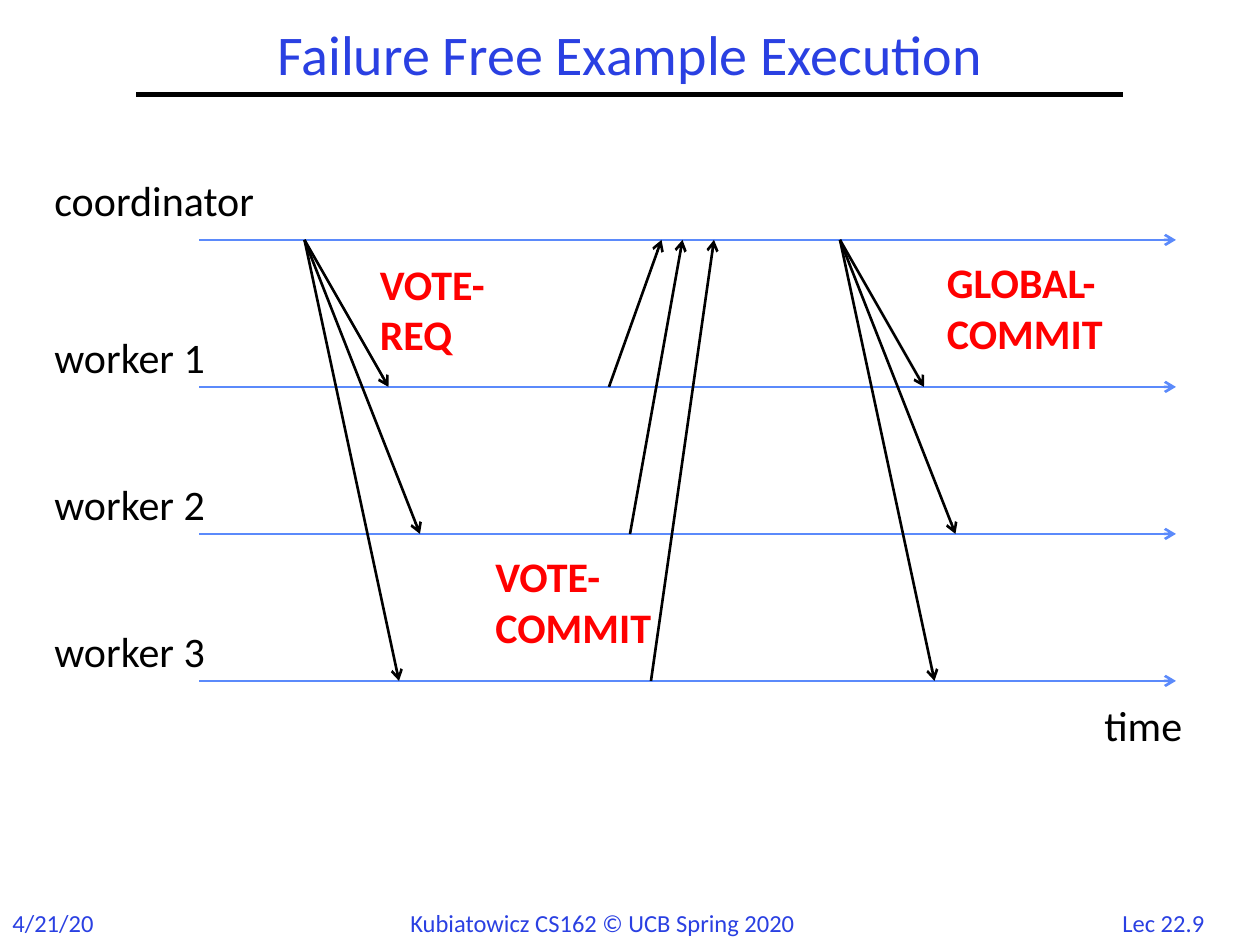
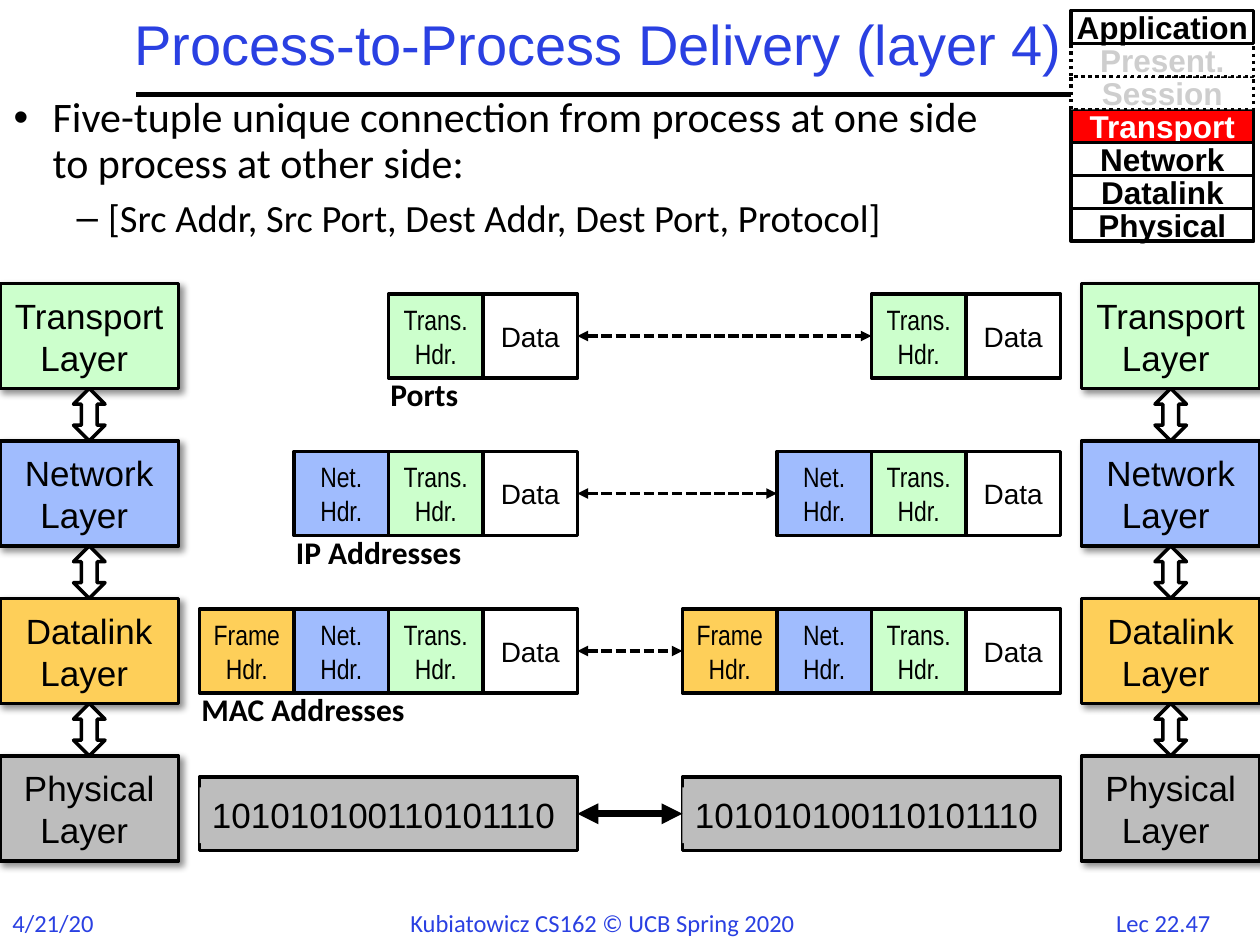
from lxml.etree import SubElement as Sub
from pptx import Presentation
from pptx.dml.color import RGBColor as RGB
from pptx.enum.dml import MSO_LINE as Dash
from pptx.enum.shapes import MSO_CONNECTOR as Conn, MSO_SHAPE as Kind
from pptx.enum.text import MSO_ANCHOR as Anchor, MSO_AUTO_SIZE as Fit, PP_ALIGN as Align
from pptx.oxml.ns import qn
from pptx.util import Inches, Pt

BLACK, WHITE = RGB(0, 0, 0), RGB(255, 255, 255)
INK = RGB(0x2A, 0x40, 0xE2)
LANE = RGB(0x5B, 0x8A, 0xFB)
RED = RGB(255, 0, 0)
GREEN = RGB(0xCC, 0xFF, 0xCC)
BLUE = RGB(0xA0, 0xBC, 0xFE)
GOLD = RGB(0xFE, 0xCF, 0x59)
GRAY = RGB(0xBD, 0xBD, 0xBD)
FAINT = RGB(0xCE, 0xCE, 0xCE)

WIDE, HIGH = Inches(10), Inches(7.5)
COLS, ROWS = 120, 90

LAYERS = [("Transport", GREEN), ("Network", BLUE),
          ("Datalink", GOLD), ("Physical", GRAY)]
HEADS = [("Trans.", GREEN), ("Net.", BLUE), ("Frame", GOLD)]
NAMES = ["Ports", "IP Addresses", "MAC Addresses"]


def grid(x, y):
    """Turn a column and a row into slide lengths."""
    return round(x * WIDE / COLS), round(y * HIGH / ROWS)


def write(para, text, size, color=BLACK, font="Calibri", bold=False):
    run = para.add_run()
    run.text = text
    run.font.name, run.font.size, run.font.bold = font, Pt(size), bold
    run.font.color.rgb = color


def label(slide, at, text, size=24, align=Align.LEFT, wrap=True, **look):
    box = slide.shapes.add_textbox(*grid(*at[:2]), *grid(*at[2:]))
    box.text_frame.word_wrap = wrap
    para = box.text_frame.paragraphs[0]
    para.alignment = align
    write(para, text, size, **look)
    return box


def block(slide, at, lines=(), fill=None, kind=Kind.RECTANGLE, dash=None,
          wrap=True, **look):
    """Draw an outlined shape with centred lines of text."""
    shape = slide.shapes.add_shape(kind, *grid(*at[:2]), *grid(*at[2:]))
    shape.shadow.inherit = False
    if fill is None:
        shape.fill.background()
    else:
        shape.fill.solid()
        shape.fill.fore_color.rgb = fill
    shape.line.color.rgb, shape.line.width = BLACK, Pt(2)
    if dash:
        shape.line.dash_style = dash
    frame = shape.text_frame
    frame.word_wrap, frame.vertical_anchor = wrap, Anchor.MIDDLE
    for i, text in enumerate(lines):
        para = frame.add_paragraph() if i else frame.paragraphs[0]
        para.alignment = Align.CENTER
        write(para, text, **look)
    return shape


def shade(shape):
    """Give a shape a soft shadow to the lower right."""
    effects = shape.element.spPr.find(qn("a:effectLst"))
    outer = Sub(effects, qn("a:outerShdw"), blurRad=str(Pt(4)), dist=str(Pt(3)),
                dir="2700000", algn="tl", rotWithShape="0")
    Sub(Sub(outer, qn("a:srgbClr"), val=str(BLACK)), qn("a:alpha"), val="43000")


def wire(slide, start=(0, 0), end=(0, 0), color=BLACK, width=1.5,
         dash=None, head=None, tail=None):
    line = slide.shapes.add_connector(Conn.STRAIGHT, *grid(*start), *grid(*end))
    line.line.color.rgb, line.line.width = color, Pt(width)
    if dash:
        line.line.dash_style = dash
    for tag, tip in (("a:headEnd", head), ("a:tailEnd", tail)):
        if tip:
            Sub(line.get_or_add_ln(), qn(tag), type=tip)
    Sub(line.element.spPr, qn("a:effectLst"))
    return line


def link(slide, left, right, width=2, dash=None):
    """Join two facing boxes with a double arrow."""
    line = wire(slide, width=width, dash=dash, head="triangle", tail="triangle")
    line.begin_connect(left, 3)
    line.end_connect(right, 1)


def place(shape, at):
    shape.left, shape.top = grid(*at[:2])
    shape.width, shape.height = grid(*at[2:])
    shape.text_frame.auto_size = Fit.NONE
    return shape.text_frame


def start(deck, layout, title, at, page, font="Calibri"):
    """Add a slide with its title, rule and footer."""
    slide = deck.slides.add_slide(deck.slide_layouts[layout])
    wire(slide, (13, 9), (107, 9), width=3)
    foot = dict(size=14, wrap=False, color=INK)
    label(slide, (0, 85.9, 10.2, 4), "4/21/20", **foot)
    label(slide, (37.9, 85.9, 44.2, 4), "Kubiatowicz CS162 © UCB Spring 2020", **foot)
    label(slide, (104.3, 85.9, 13, 4), f"Lec 22.{page}", align=Align.CENTER, **foot)
    frame = place(slide.shapes.title, (*at, 94, 7))
    frame.vertical_anchor = Anchor.MIDDLE
    para = frame.paragraphs[0]
    para.alignment, para.line_spacing = Align.CENTER, 0.9
    write(para, title, 32, INK, font)
    return slide


def item(para, text, size, mark, left, hang, gap):
    props = para._p.get_or_add_pPr()
    props.set("marL", str(Inches(left)))
    props.set("indent", str(-Inches(hang)))
    Sub(props, qn("a:buChar"), char=mark)
    para.line_spacing, para.space_before = 0.9, Pt(gap)
    write(para, text, size)


def commit(deck):
    slide = start(deck, 5, "Failure Free Example Execution", (13, 2), 9)
    lanes = [22.85 + 14 * i for i in range(4)]
    for i, y in enumerate(lanes):
        wire(slide, (19, y), (112, y), LANE, tail="arrow")
        if i:
            label(slide, (4, y - 5.9, 19, 6.1), f"worker {i}")
    label(slide, (4, 16, 24, 6.1), "coordinator")
    label(slide, (104, 66, 11, 6.1), "time")

    for x in (29, 93 - 13):
        for step, y in zip((8, 11, 9), lanes[1:]):
            wire(slide, (x, lanes[0]), (x + step, y), tail="arrow")
    for x, end, y in zip((58, 60, 62), (63, 65, 68), lanes[1:]):
        wire(slide, (x, y), (end, lanes[0]), tail="arrow")

    for x, y, wide, text in ((35, 24, 16, "VOTE-REQ"),
                             (46, 51.85, 19, "VOTE-COMMIT"),
                             (89, 23.85, 20, "GLOBAL-COMMIT")):
        label(slide, (x, y, wide, 10.9), text, color=RED, bold=True)


def stack(slide, x):
    """Draw the column of layers with arrows between them."""
    for i, (name, fill) in enumerate(LAYERS):
        y = 27 + 15 * i
        shade(block(slide, (x, y, 17, 10), [f"{name} Layer "], fill,
                    size=20, font="Arial"))
        if i < len(LAYERS) - 1:
            block(slide, (x + 7, y + 10, 3, 5), fill=WHITE, kind=Kind.UP_DOWN_ARROW)


def packet(slide, right, row):
    """Draw data with its headers; return the first and last box."""
    y = 28 + 15 * row
    x = right - 9
    first = last = block(slide, (x, y, 9, 8), ["Data"], WHITE, size=16, font="Arial")
    for name, fill in HEADS[:row + 1]:
        x -= 9
        first = block(slide, (x, y, 9, 8), [name, "Hdr."], fill,
                      size=16, font="Arial Narrow")
    return first, last


def bits(slide, x):
    frame = block(slide, (x, 74, 36, 7), fill=GRAY)
    text = label(slide, (x, 75, 35.4, 5.3), "101010100110101110", 20,
                 wrap=False, font="Arial")
    text.fill.solid()
    text.fill.fore_color.rgb = GRAY
    return frame


def legend(slide):
    high = 3.14
    for row, name, fill, color, dash in (
            (3, "Transport", RED, WHITE, None),
            (4, "Network", None, BLACK, None),
            (5, "Datalink", None, BLACK, None),
            (6, "Physical", None, BLACK, None),
            (2, "Session", WHITE, FAINT, Dash.ROUND_DOT),
            (1, "Present.", WHITE, FAINT, Dash.ROUND_DOT),
            (0, "Application", WHITE, BLACK, None)):
        block(slide, (102, 1 + row * high, 17.4, high), [name], fill, dash=dash,
              wrap=False, size=18, color=color, font="Arial", bold=True)


def deliver(deck):
    slide = start(deck, 1, "Process-to-Process Delivery (layer 4)", (10, 1), 47, "Arial")
    body = place(slide.placeholders[1], (0.1, 8.6, 98, 21))
    item(body.paragraphs[0], "Five-tuple unique connection from process at one side "
         "to process at other side:", 24, "•", 0.31, 0.31, 0)
    para = body.add_paragraph()
    para.level = 1
    item(para, "[Src Addr, Src Port, Dest Addr, Dest Port, Protocol]",
         22, "–", 0.75, 0.25, 6.6)

    for x in (0, 103):
        stack(slide, x)
    for row, name in enumerate(NAMES):
        near = packet(slide, 55, row)[1]
        far = packet(slide, 101, row)[0]
        link(slide, near, far, dash=Dash.SQUARE_DOT)
        label(slide, (36 - 9 * row, 35.15 + 15 * row, 26, 4.8), name, 18, bold=True)
    link(slide, bits(slide, 19), bits(slide, 65), width=4)
    legend(slide)


def main():
    deck = Presentation()
    deck.slide_width, deck.slide_height = WIDE, HIGH
    commit(deck)
    deliver(deck)
    deck.save("out.pptx")


if __name__ == "__main__":
    main()
